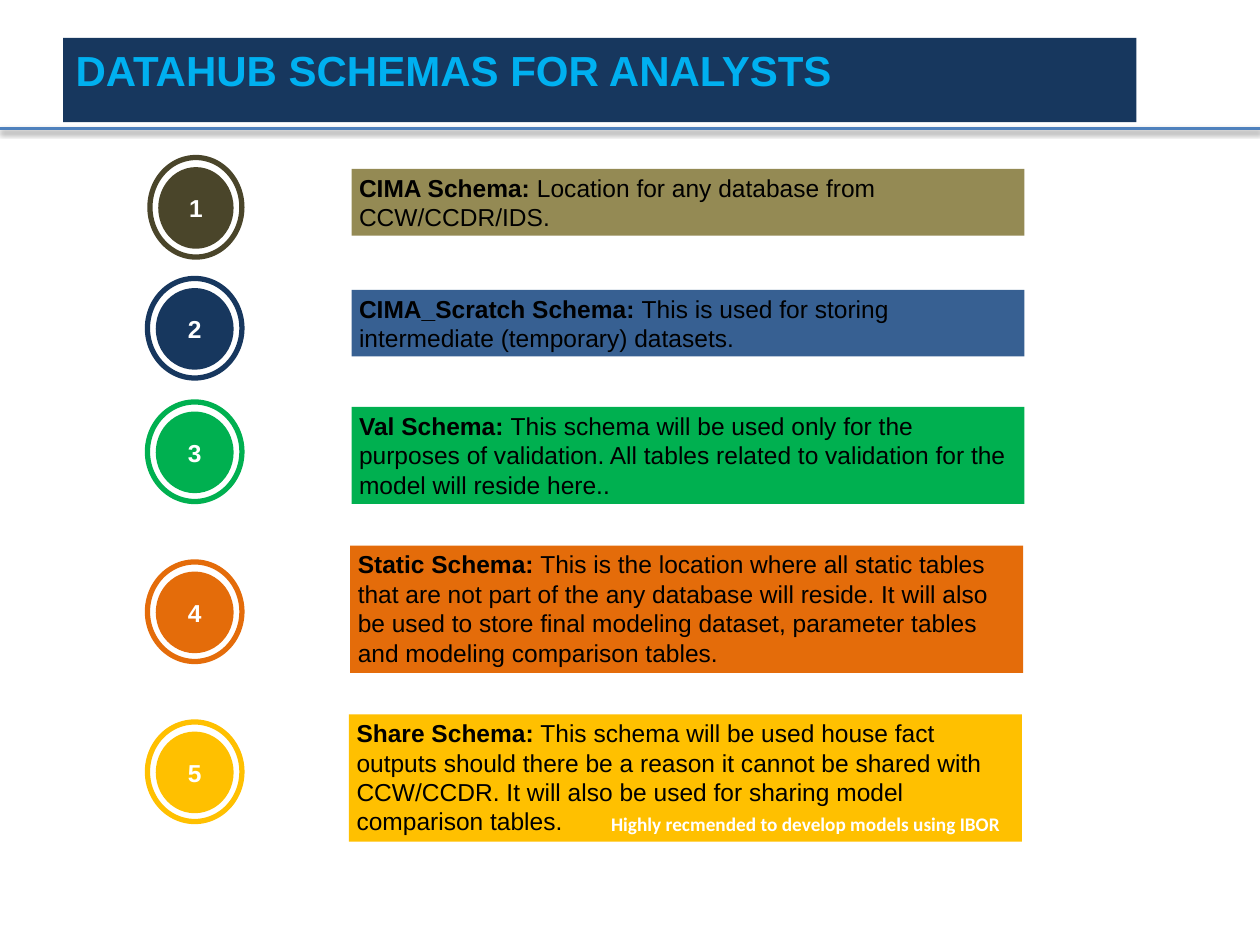
from lxml import etree
from pptx import Presentation
from pptx.dml.color import RGBColor
from pptx.enum import shapes, text
from pptx.oxml import ns
from pptx.util import Inches, Pt

SCHEMAS = [
    ("CIMA Schema: ", "Location for any database from CCW/CCDR/IDS.",
     "4A452A", "948A54", (1.19, 1.25, 0.73), (2.79, 1.34, 0.53)),
    ("CIMA_Scratch Schema: ", "This is used for storing intermediate (temporary) datasets. ",
     "17375E", "376092", (1.17, 2.21, 0.75), (2.79, 2.3, 0.53)),
    ("Val Schema: ", "This schema will be used only for the purposes of validation. "
     "All tables related to validation for the model will reside here..",
     "00B050", "00B050", (1.17, 3.19, 0.75), (2.79, 3.23, 0.77)),
    ("Static Schema:", " This is the location where all static tables that are not part of "
     "the any database will reside. It will also be used to store final modeling dataset, "
     "parameter tables and modeling comparison tables.",
     "E46C0A", "E46C0A", (1.17, 4.46, 0.75), (2.78, 4.33, 1.01)),
    ("Share Schema:", " This schema will be used house fact outputs should there be a reason "
     "it cannot be shared with CCW/CCDR. It will also be used for sharing model "
     "comparison tables.",
     "FFC000", "FFC000", (1.17, 5.73, 0.75), (2.77, 5.67, 1.01)),
]


def rgb(value):
    """Return the colour for a hex string."""
    return RGBColor.from_string(value)


def write(p, words, size, color, bold=True, font="Arial"):
    """Add a formatted run to a paragraph."""
    r = p.add_run()
    r.text = words
    r.font.name, r.font.size, r.font.bold = font, Pt(size), bold
    r.font.color.rgb = rgb(color)


def set_frame(sp, anchor=text.MSO_ANCHOR.TOP):
    """Give a text frame narrow margins and return its first paragraph."""
    tf = sp.text_frame
    tf.word_wrap = True
    tf.vertical_anchor = anchor
    tf.margin_left = tf.margin_right = Inches(0.06)
    tf.margin_top = tf.margin_bottom = Inches(0.03)
    return tf.paragraphs[0]


def add_shape(s, kind, box, fill, line=None, width=0):
    """Add a flat filled shape."""
    sp = s.shapes.add_shape(kind, *map(Inches, box))
    sp.shadow.inherit = False
    sp.fill.solid()
    sp.fill.fore_color.rgb = rgb(fill)
    if line:
        sp.line.color.rgb = rgb(line)
        sp.line.width = Pt(width)
    else:
        sp.line.fill.background()
    return sp


def add_header(s, left, top, width, height):
    """Place the title band and the shadowed rule beneath it."""
    title = s.shapes.title
    title.left, title.top, title.width, title.height = map(Inches, (left, top, width, height))
    title.fill.solid()
    title.fill.fore_color.rgb = rgb("17375E")
    tf = title.text_frame
    tf.vertical_anchor = text.MSO_ANCHOR.TOP
    tf.paragraphs[0].alignment = text.PP_ALIGN.LEFT
    write(tf.paragraphs[0], "DATAHUB SCHEMAS FOR ANALYSTS", 24, "00B0F0")
    y = Inches(top + height + 0.05)
    rule = s.shapes.add_connector(shapes.MSO_CONNECTOR.STRAIGHT, 0, y, Inches(10), y)
    rule.line.color.rgb = rgb("4F81BD")
    rule.line.width = Pt(2)
    effects = etree.SubElement(rule._element.spPr, ns.qn("a:effectLst"))
    shadow = etree.SubElement(effects, ns.qn("a:outerShdw"), blurRad=str(Pt(3.1)),
                              dist=str(Pt(1.6)), dir="5400000", rotWithShape="0")
    color = etree.SubElement(shadow, ns.qn("a:srgbClr"), val="000000")
    etree.SubElement(color, ns.qn("a:alpha"), val="38000")


def add_badge(s, number, color, left, top, width):
    """Place a ringed, numbered disc."""
    oval = shapes.MSO_SHAPE.OVAL
    add_shape(s, oval, (left, top, width, 0.79), "FFFFFF", color, 3)
    disc = add_shape(s, oval, (left + 0.08, top + 0.09, width - 0.16, 0.62), color, color, 2)
    p = set_frame(disc, text.MSO_ANCHOR.MIDDLE)
    p.alignment = text.PP_ALIGN.CENTER
    write(p, str(number), 14, "FFFFFF")


def add_description(s, name, words, fill, left, top, height):
    """Place a coloured box with a bold name and its description."""
    box = add_shape(s, shapes.MSO_SHAPE.RECTANGLE, (left, top, 5.34, height), fill)
    p = set_frame(box)
    p.alignment = text.PP_ALIGN.LEFT
    write(p, name, 14, "000000")
    write(p, words, 14, "000000", bold=False)


def add_note(s, left, top, width, height):
    """Place the recommendation over the last description."""
    sp = s.shapes.add_textbox(*map(Inches, (left, top, width, height)))
    write(set_frame(sp), "Highly recmended to develop models using IBOR ", 11, "FFFFFF",
          font="Calibri")


def main():
    """Build and save the slide."""
    prs = Presentation()
    prs.slide_width, prs.slide_height = Inches(10), Inches(7.5)
    s = prs.slides.add_slide(prs.slide_layouts[5])
    add_header(s, 0.5, 0.3, 8.52, 0.67)
    for number, (name, words, dark, fill, badge, box) in enumerate(SCHEMAS, 1):
        add_badge(s, number, dark, *badge)
        add_description(s, name, words, fill, *box)
    add_note(s, 4.79, 6.42, 3.46, 0.25)
    prs.save("out.pptx")


main()
